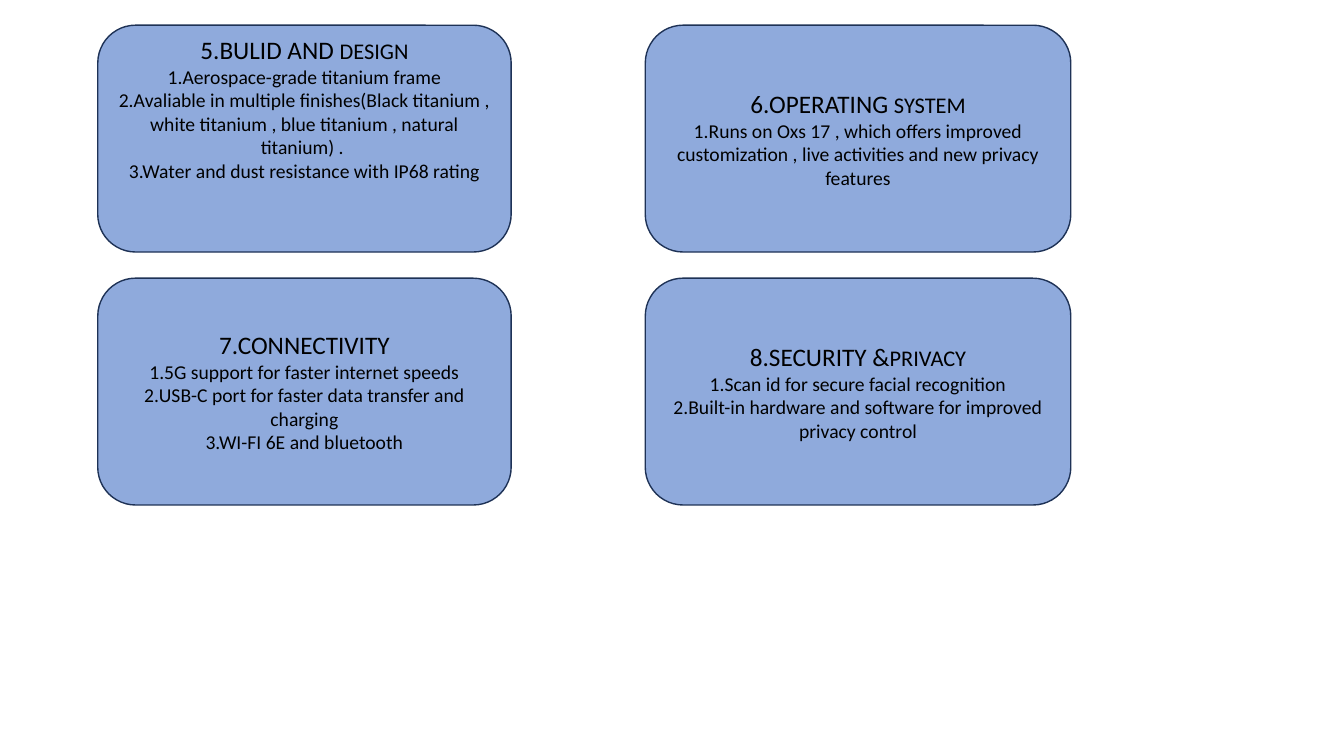
from pptx import Presentation
from pptx.dml.color import RGBColor
from pptx.enum.shapes import MSO_SHAPE
from pptx.enum.text import MSO_ANCHOR, PP_ALIGN
from pptx.util import Inches, Pt

ROUNDED = MSO_SHAPE.ROUNDED_RECTANGLE
MIDDLE = MSO_ANCHOR.MIDDLE
CENTER = PP_ALIGN.CENTER

COLORS = {"card": "8FAADC", "outline": "1E3256", "text": "000000"}

# Card grid: (left, width) of each column, top of each row
COLUMNS = [(0.97, 4.1), (6.4, 4.22)]
ROW_TOPS = [0.25, 2.76]
CARD_HEIGHT = 2.25

# Heading, smaller end of the heading, points
FEATURES = [
    ("5.BULID AND ", "DESIGN", [
        "1.Aerospace-grade titanium frame",
        "2.Avaliable in multiple finishes(Black titanium , white titanium , "
        "blue titanium , natural titanium) . ",
        "3.Water and dust resistance with IP68 rating"]),
    ("6.OPERATING ", "SYSTEM", [
        "1.Runs on Oxs 17 , which offers improved customization , "
        "live activities and new privacy features"]),
    ("7.CONNECTIVITY", "", [
        "1.5G support for faster internet speeds",
        "2.USB-C port for faster data transfer and charging",
        "3.WI-FI 6E and bluetooth"]),
    ("8.SECURITY &", "PRIVACY", [
        "1.Scan id for secure facial recognition",
        "2.Built-in hardware and software for improved privacy control"]),
]


class SlideBuilder:
    font = "Calibri"
    heading_size, heading_end_size, point_size = 18, 16, 14

    def __init__(self, slide):
        self.slide = slide

    def color(self, name):
        return RGBColor.from_string(COLORS[name])

    def run(self, p, text, size):
        r = p.add_run()
        r.text = text
        r.font.name = self.font
        r.font.size = Pt(size)
        r.font.color.rgb = self.color("text")

    def card(self, left, top, width, height, heading, heading_end, points):
        sp = self.slide.shapes.add_shape(
            ROUNDED, Inches(left), Inches(top), Inches(width), Inches(height))
        sp.shadow.inherit = False
        sp.fill.solid()
        sp.fill.fore_color.rgb = self.color("card")
        sp.line.color.rgb = self.color("outline")
        sp.line.width = Pt(1)

        tf = sp.text_frame
        tf.word_wrap = True
        tf.vertical_anchor = MIDDLE
        p = tf.paragraphs[0]
        p.alignment = CENTER
        self.run(p, heading, self.heading_size)
        if heading_end:
            self.run(p, heading_end, self.heading_end_size)
        for point in points:
            p = tf.add_paragraph()
            p.alignment = CENTER
            self.run(p, point, self.point_size)
        return sp


def main():
    prs = Presentation()
    prs.slide_width, prs.slide_height = Inches(13.33), Inches(7.5)
    s = SlideBuilder(prs.slides.add_slide(prs.slide_layouts[6]))

    # Feature cards, row by row
    cards = []
    for i, feature in enumerate(FEATURES):
        row, col = divmod(i, len(COLUMNS))
        left, width = COLUMNS[col]
        cards.append(s.card(left, ROW_TOPS[row], width, CARD_HEIGHT, *feature))

    # The design card carries its text near the top
    tf = cards[0].text_frame
    tf.margin_top, tf.margin_bottom = Inches(0), Inches(0.6)

    prs.save("out.pptx")


if __name__ == "__main__":
    main()
